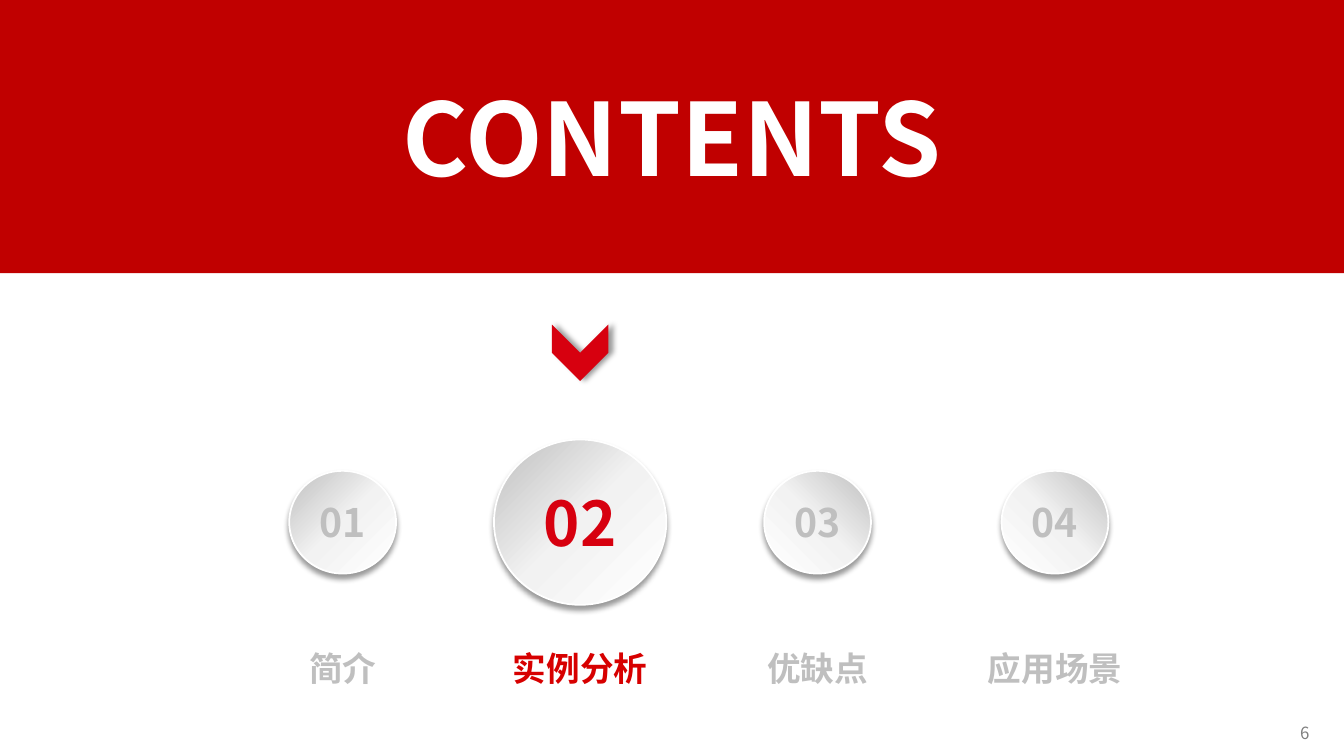
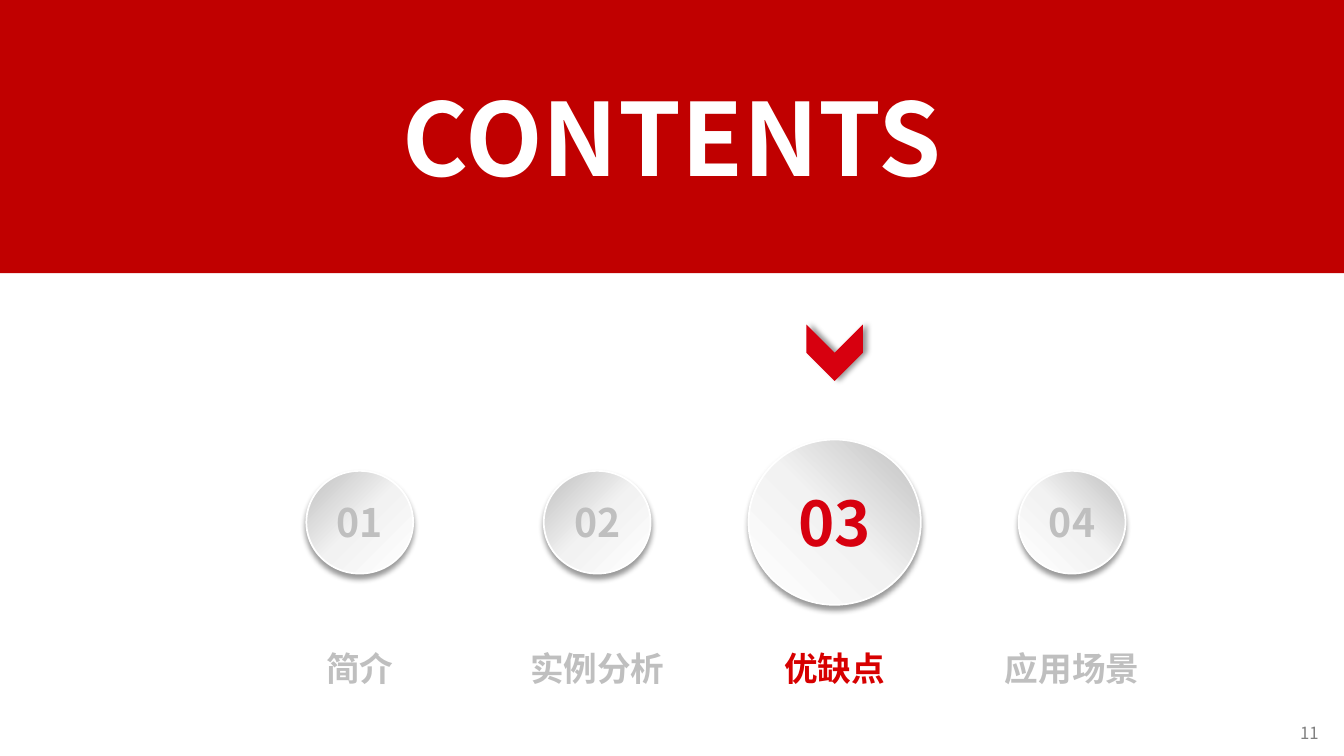
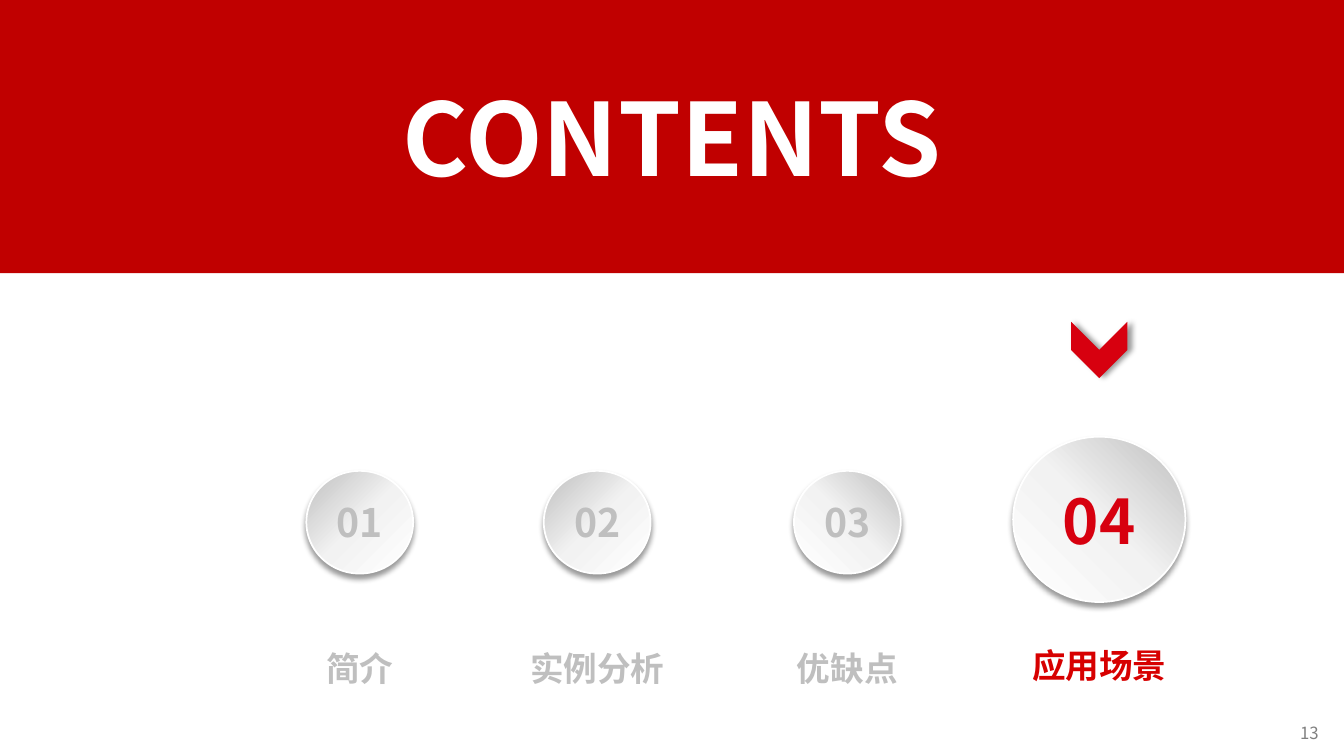
from pptx import Presentation
from pptx.dml.color import RGBColor
from pptx.enum.shapes import MSO_SHAPE
from pptx.enum.text import MSO_ANCHOR, MSO_AUTO_SIZE, PP_ALIGN
from pptx.oxml import parse_xml
from pptx.oxml.ns import nsdecls, qn
from pptx.util import Pt

OVAL, CHEVRON, RECTANGLE = MSO_SHAPE.OVAL, MSO_SHAPE.CHEVRON, MSO_SHAPE.RECTANGLE
LEFT, CENTER = PP_ALIGN.LEFT, PP_ALIGN.CENTER
TOP, MIDDLE = MSO_ANCHOR.TOP, MSO_ANCHOR.MIDDLE
GROW = MSO_AUTO_SIZE.SHAPE_TO_FIT_TEXT

FONT = "Noto Sans CJK SC"
COLORS = {
    "band": "C00000",
    "active": "D7000F",
    "active_label": "D70000",
    "muted": "BFBFBF",
    "rim": "D9D9D9",
    "pale": "F2F2F2",
    "white": "FFFFFF",
    "page": "808080",
    "shadow": "000000",
}
SLIDE_WIDTH, SLIDE_HEIGHT = 960, 540
CHAPTERS = ["简介", "实例分析", "优缺点", "应用场景"]
PITCH = 169.6
CHAPTER_CENTER_Y = 373
DISC_FILL = [(0, "white"), (50, "pale"), (100, "muted")]
DISC_RIM = [(0, "rim"), (50, "white"), (100, "white")]


def rgb(name):
    return RGBColor.from_string(COLORS[name])


def write_text(shape, text, size, color, bold=True, align=CENTER, anchor=MIDDLE):
    frame = shape.text_frame
    frame.word_wrap = True
    frame.vertical_anchor = anchor
    paragraph = frame.paragraphs[0]
    paragraph.alignment = align
    run = paragraph.add_run()
    run.text = text
    run.font.size = Pt(size)
    run.font.bold = bold
    run.font.color.rgb = rgb(color)
    run.font.name = FONT
    run.font.language_id = None
    east_asian = parse_xml(f'<a:ea {nsdecls("a")} typeface="{FONT}"/>')
    run.font.fill  # fill precedes the typefaces
    run._r.get_or_add_rPr().append(east_asian)


def add_box(slide, kind, left, top, width, height):
    """Add a preset shape, or a text box when kind is None."""
    box = [Pt(value) for value in (left, top, width, height)]
    if kind is None:
        return slide.shapes.add_textbox(*box)
    return slide.shapes.add_shape(kind, *box)


def gradient_xml(stops, angle):
    stop_xml = "".join(
        f'<a:gs pos="{position * 1000}"><a:srgbClr val="{COLORS[color]}"/></a:gs>'
        for position, color in stops
    )
    return (
        f'<a:gradFill {nsdecls("a")} rotWithShape="1"><a:gsLst>{stop_xml}</a:gsLst>'
        f'<a:lin ang="{angle * 60000}" scaled="0"/></a:gradFill>'
    )


def add_shadow(shape, direction):
    shape.element.spPr.append(parse_xml(
        f'<a:effectLst {nsdecls("a")}><a:outerShdw blurRad="{Pt(4)}" dist="{Pt(3)}" '
        f'dir="{direction * 60000}" algn="ctr" rotWithShape="0">'
        f'<a:srgbClr val="{COLORS["shadow"]}"><a:alpha val="40000"/></a:srgbClr>'
        "</a:outerShdw></a:effectLst>"
    ))


def add_disc(slide, center_x, center_y, width, height, flipped):
    disc = add_box(slide, OVAL, center_x - width / 2, center_y - height / 2, width, height)
    properties = disc.element.spPr
    if flipped:
        properties.find(qn("a:xfrm")).set("flipH", "1")
    properties.append(parse_xml(gradient_xml(DISC_FILL, 315)))
    properties.append(parse_xml(
        f'<a:ln {nsdecls("a")} w="{Pt(1.25)}">{gradient_xml(DISC_RIM, 315)}</a:ln>'
    ))
    add_shadow(disc, 90)
    return disc


def add_pointer(slide, center_x, center_y, size=40.3):
    pointer = add_box(slide, CHEVRON, center_x - size / 2, center_y - size / 2, size, size)
    pointer.rotation = 90
    pointer.fill.solid()
    pointer.fill.fore_color.rgb = rgb("active")
    pointer.line.fill.background()
    add_shadow(pointer, 0)


def add_chapter(slide, index, center_x, center_y, active):
    """Place one numbered disc with its label, and a pointer if it is active."""
    width, height, size = (123.1, 118.1, 44) if active else (76.3, 73.4, 28)
    disc = add_disc(slide, center_x, center_y, width, height, flipped=index < 2)
    write_text(disc, f"{index + 1:02d}", size, "active" if active else "muted")

    label = add_box(slide, None, center_x - 123.5, center_y + 86.4, 247, 65.5 if active else 36)
    write_text(label, CHAPTERS[index], 24, "active_label" if active else "muted", anchor=TOP)
    label.text_frame.auto_size = GROW

    if active:
        add_pointer(slide, center_x, center_y - 121)


def add_title_band(slide):
    band = add_box(slide, RECTANGLE, 0, 0, SLIDE_WIDTH, 195.2)
    band.shadow.inherit = False
    band.fill.solid()
    band.fill.fore_color.rgb = rgb("band")
    band.line.fill.background()
    write_text(band, "CONTENTS", 72, "white")


def add_page_number(slide, number):
    box = add_box(slide, None, 921.6, 512.6, 36.7, 20.9)
    write_text(box, str(number), 12, "page", bold=False, align=LEFT, anchor=TOP)


def add_contents_slide(presentation, page, active, centers, active_shift=0):
    slide = presentation.slides.add_slide(presentation.slide_layouts[6])
    add_page_number(slide, page)
    for index, center_x in enumerate(centers):
        is_active = index == active
        center_y = CHAPTER_CENTER_Y + (active_shift if is_active else 0)
        add_chapter(slide, index, center_x, center_y, is_active)
    add_title_band(slide)


def even_centers(first, count):
    return [first + PITCH * index for index in range(count)]


def main():
    presentation = Presentation()
    presentation.slide_width = Pt(SLIDE_WIDTH)
    presentation.slide_height = Pt(SLIDE_HEIGHT)
    add_contents_slide(presentation, 6, 1, even_centers(244.8, 4))
    add_contents_slide(presentation, 11, 2, even_centers(257, 4))
    # The last two chapters stand further right here
    add_contents_slide(presentation, 13, 3, even_centers(257, 2) + [605.3, 785.2], active_shift=-2)
    presentation.save("out.pptx")


if __name__ == "__main__":
    main()
